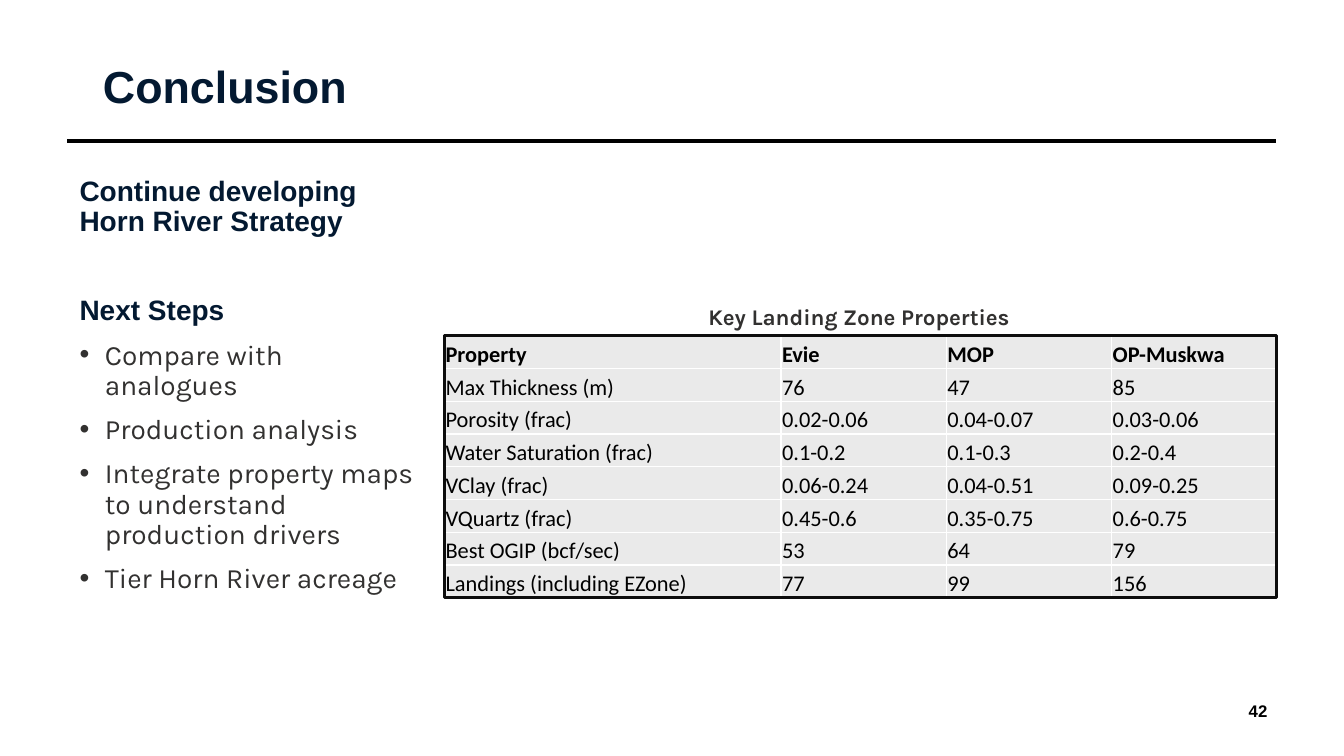
from dataclasses import dataclass
from typing import NamedTuple

from lxml.etree import SubElement
from pptx import Presentation
from pptx.dml.color import RGBColor
from pptx.enum.shapes import MSO_CONNECTOR, MSO_SHAPE
from pptx.enum.text import MSO_ANCHOR, MSO_AUTO_SIZE, PP_ALIGN
from pptx.oxml.ns import qn
from pptx.slide import Slide
from pptx.text.text import TextFrame
from pptx.util import Cm, Pt

COLOURS = {"navy": "031931", "text": "323130", "black": "000000",
           "white": "FFFFFF", "cell": "EAEAEA", "frame": "0D0D0D"}


class Box(NamedTuple):
    left: float
    top: float
    width: float
    height: float

    def lengths(self) -> list[Cm]:
        return [Cm(value) for value in self]


@dataclass
class Point:
    text: str
    bullet: bool = True
    before: float = 10


TITLE_BOX = Box(2.34, 1.02, 29.21, 2.46)
POINTS_BOX = Box(1.75, 4.34, 9.12, 13)
CAPTION_BOX = Box(17.6, 7.52, 8.15, 0.94)
TABLE_BOX = Box(11.2, 8.46, 20.98, 6.6)
NUMBER_BOX = Box(26.47, 17.53, 5.72, 1.02)
PROPERTY_WIDTH = 8.48

POINTS = [
    Point("Continue developing Horn River Strategy", bullet=False, before=0),
    Point("Next Steps", bullet=False, before=42),
    Point("Compare with analogues"),
    Point("Production analysis"),
    Point("Integrate property maps to understand production drivers"),
    Point("Tier Horn River acreage"),
]

PROPERTIES = [
    ("Property", "Evie", "MOP", "OP-Muskwa"),
    ("Max Thickness (m)", "76", "47", "85"),
    ("Porosity (frac)", "0.02-0.06", "0.04-0.07", "0.03-0.06"),
    ("Water Saturation (frac)", "0.1-0.2", "0.1-0.3", "0.2-0.4"),
    ("VClay (frac)", "0.06-0.24", "0.04-0.51", "0.09-0.25"),
    ("VQuartz (frac)", "0.45-0.6", "0.35-0.75", "0.6-0.75"),
    ("Best OGIP (bcf/sec)", "53", "64", "79"),
    ("Landings (including EZone)", "77", "99", "156"),
]


def colour(name: str) -> RGBColor:
    return RGBColor.from_string(COLOURS[name])


def write(frame: TextFrame, text: str, *, size: float, font: str, ink: str,
          bold: bool = False, align: PP_ALIGN = PP_ALIGN.LEFT, spacing: float = 1,
          before: float = 0, bullet: bool | None = None) -> None:
    """Add a formatted paragraph, filling the first one if it is empty."""
    paragraph = frame.paragraphs[-1]
    if paragraph.runs:
        paragraph = frame.add_paragraph()
    if bullet is not None:
        properties = paragraph._p.get_or_add_pPr()
        indent = Cm(0.64) if bullet else 0
        properties.set("marL", str(indent))
        properties.set("indent", str(-indent))
        if bullet:
            SubElement(properties, qn("a:buFont"), typeface="Arial")
            SubElement(properties, qn("a:buChar"), char="•")
        else:
            SubElement(properties, qn("a:buNone"))
    paragraph.alignment = align
    paragraph.line_spacing = spacing
    paragraph.space_before = Pt(before)
    run = paragraph.add_run()
    run.text = text
    run.font.size = Pt(size)
    run.font.name = font
    run.font.bold = bold
    run.font.color.rgb = colour(ink)


def place(shape, box: Box) -> TextFrame:
    """Position a text shape and return its wrapping frame."""
    shape.left, shape.top, shape.width, shape.height = box.lengths()
    frame = shape.text_frame
    frame.auto_size = MSO_AUTO_SIZE.NONE
    frame.word_wrap = True
    return frame


def draw_rule(slide: Slide) -> None:
    rule = slide.shapes.add_connector(
        MSO_CONNECTOR.STRAIGHT, Cm(1.7), Cm(3.56), Cm(32.16), Cm(3.56))
    rule.line.color.rgb = colour("black")
    rule.line.width = Pt(3)
    SubElement(rule._element.spPr, qn("a:effectLst"))


def draw_points(slide: Slide) -> None:
    frame = place(slide.placeholders[1], POINTS_BOX)
    frame.vertical_anchor = MSO_ANCHOR.TOP
    for point in POINTS:
        write(frame, point.text, size=20, font="Karla" if point.bullet else "Arial",
              ink="text" if point.bullet else "navy", bold=not point.bullet,
              spacing=0.9, before=point.before, bullet=point.bullet)


def format_cell(cell) -> None:
    """Give a cell its margins, white borders and grey fill."""
    cell.margin_left = cell.margin_right = cell.margin_top = Cm(0.03)
    cell.margin_bottom = 0
    cell.vertical_anchor = MSO_ANCHOR.BOTTOM
    properties = cell._tc.get_or_add_tcPr()
    for side in ("lnL", "lnR", "lnT", "lnB"):
        border = SubElement(properties, qn(f"a:{side}"), w=str(Pt(1)))
        fill = SubElement(border, qn("a:solidFill"))
        SubElement(fill, qn("a:srgbClr"), val=COLOURS["white"])
    cell.fill.solid()
    cell.fill.fore_color.rgb = colour("cell")


def draw_properties(slide: Slide) -> None:
    row_count, column_count = len(PROPERTIES), len(PROPERTIES[0])
    table = slide.shapes.add_table(row_count, column_count, *TABLE_BOX.lengths()).table
    table.first_row = table.horz_banding = False
    zone_width = (TABLE_BOX.width - PROPERTY_WIDTH) / (column_count - 1)
    for index, column in enumerate(table.columns):
        column.width = Cm(zone_width if index else PROPERTY_WIDTH)
    for row_index, values in enumerate(PROPERTIES):
        table.rows[row_index].height = Cm(TABLE_BOX.height / row_count)
        for column_index, value in enumerate(values):
            cell = table.cell(row_index, column_index)
            format_cell(cell)
            write(cell.text_frame, value, size=16, font="Calibri", ink="black",
                  bold=row_index == 0)


def draw_frame(slide: Slide) -> None:
    frame = slide.shapes.add_shape(MSO_SHAPE.RECTANGLE, *TABLE_BOX.lengths())
    frame.shadow.inherit = False
    frame.fill.background()
    frame.line.color.rgb = colour("frame")
    frame.line.width = Pt(2.25)


def main() -> None:
    deck = Presentation()
    deck.slide_width, deck.slide_height = Cm(33.87), Cm(19.05)
    slide = deck.slides.add_slide(deck.slide_layouts[1])
    draw_rule(slide)
    heading = place(slide.shapes.title, TITLE_BOX)
    heading.vertical_anchor = MSO_ANCHOR.MIDDLE
    write(heading, "Conclusion", size=32, font="Arial", ink="navy", bold=True, spacing=0.9)
    draw_points(slide)
    page_number = place(slide.shapes.add_textbox(*NUMBER_BOX.lengths()), NUMBER_BOX)
    write(page_number, "42", size=12, font="Arial", ink="black", bold=True,
          align=PP_ALIGN.RIGHT)
    draw_properties(slide)
    caption = place(slide.shapes.add_textbox(*CAPTION_BOX.lengths()), CAPTION_BOX)
    write(caption, "Key Landing Zone Properties", size=16, font="Karla", ink="text", bold=True)
    draw_frame(slide)
    deck.save("out.pptx")


if __name__ == "__main__":
    main()
